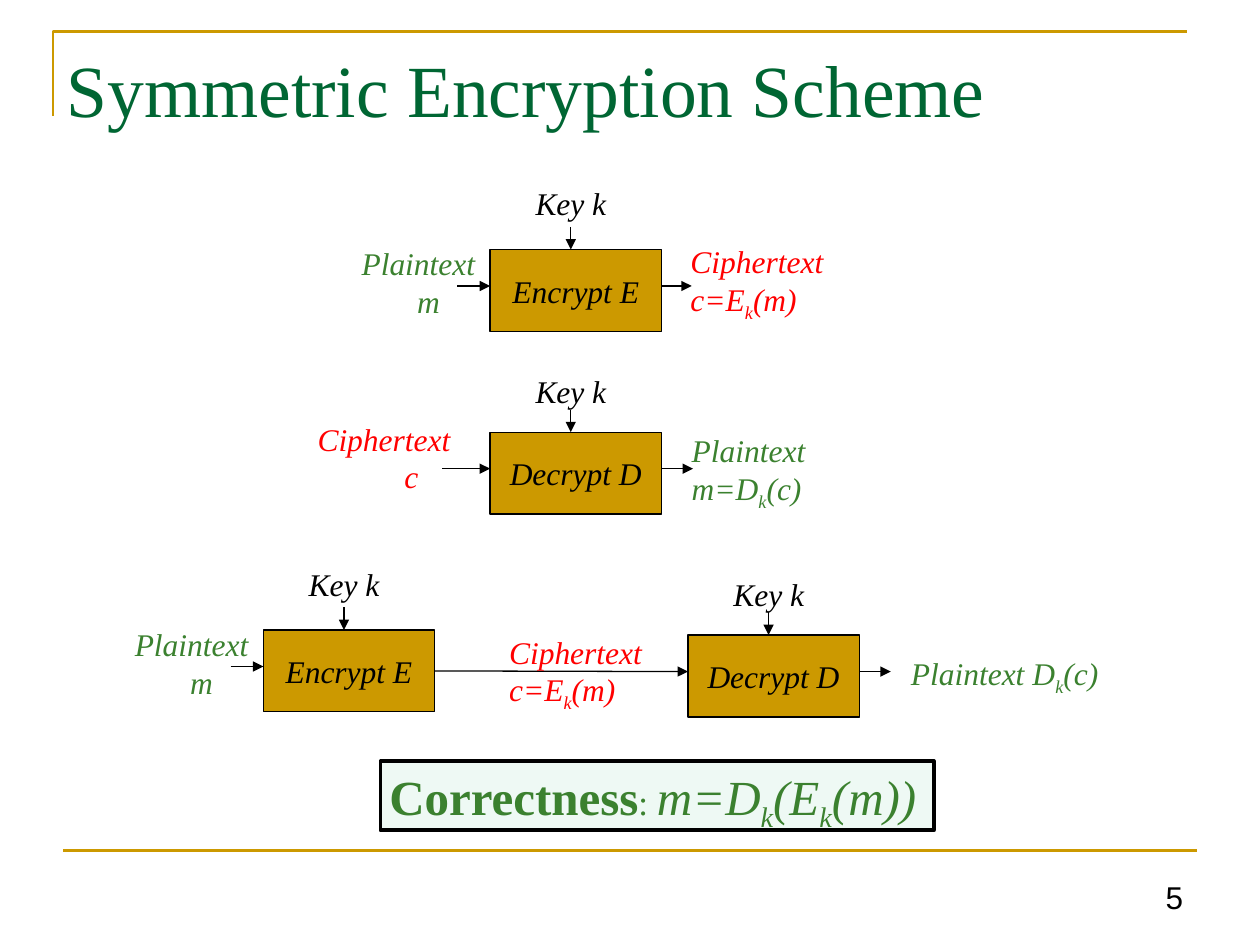
from lxml import etree
from pptx import Presentation
from pptx.dml.color import RGBColor
from pptx.enum.shapes import MSO_CONNECTOR, MSO_SHAPE
from pptx.enum.text import MSO_ANCHOR, MSO_AUTO_SIZE, PP_ALIGN
from pptx.oxml.ns import qn
from pptx.util import Inches, Pt

STRAIGHT, RECTANGLE = MSO_CONNECTOR.STRAIGHT, MSO_SHAPE.RECTANGLE
TOP, MIDDLE, BOTTOM = MSO_ANCHOR.TOP, MSO_ANCHOR.MIDDLE, MSO_ANCHOR.BOTTOM
LEFT, CENTER, RIGHT = PP_ALIGN.LEFT, PP_ALIGN.CENTER, PP_ALIGN.RIGHT
FIT_SHAPE, NO_FIT = MSO_AUTO_SIZE.SHAPE_TO_FIT_TEXT, MSO_AUTO_SIZE.NONE

WIDTH, HEIGHT = 10, 7.5
BLACK, GOLD, RED, GREEN = "000000", "CC9900", "FF0000", "3B812F"
PALE, TITLE_GREEN = "EEF9F4", "006633"
SERIF, SANS = "Times New Roman", "Arial"

TITLE = "Symmetric Encryption Scheme"
PAGE_NUMBER = "5"
KEY = "Key k"

# An underscore pair encloses a subscript.
# Stage: name, left, top, length of the arrow in, length of the arrow out
STAGES = [
    ("Encrypt E", 3.89, 1.98, 0.26, 0.24),
    ("Decrypt D", 3.89, 3.43, 0.38, 0.25),
    ("Encrypt E", 2.09, 5.00, 0.26, 0),
    ("Decrypt D", 5.46, 5.04, 0, 0.25),
]
# Label: lines, colour, indent of the second line, left, top, width
LABELS = [
    (["Plaintext", "m"], GREEN, 0.44, 2.80, 1.90, 1.06),
    (["Ciphertext", "c=E_k_(m)"], RED, 0, 5.41, 1.88, 1.21),
    (["Ciphertext", "c"], RED, 0.69, 2.45, 3.29, 1.21),
    (["Plaintext", "m=D_k_(c)"], GREEN, 0, 5.42, 3.38, 1.06),
    (["Plaintext", "m"], GREEN, 0.44, 1.00, 4.92, 1.06),
    (["Ciphertext", "c=E_k_(m)"], RED, 0, 3.97, 4.98, 1.21),
    (["Plaintext D_k_(c)"], GREEN, 0, 7.16, 5.15, 1.66),
]
CORRECTNESS = [
    ("Correctness", {"size": Pt(28), "bold": True}),
    (": ", {"size": Pt(20)}),
    ("m=D_k_(E_k_(m))", {"size": Pt(28), "italic": True}),
]

BOX_WIDTH, BOX_HEIGHT = 1.36, 0.65
KEY_WIDTH, KEY_ARROW = 0.72, 0.18
LINE_HEIGHT, PADDING = 0.3, 0.04
ITALIC = {"size": Pt(18), "italic": True}


def rgb(color):
    return RGBColor.from_string(color)


def add_runs(paragraph, text, color, font_format, font_name=SERIF):
    for index, part in enumerate(text.split("_")):
        if not part:
            continue
        run = paragraph.add_run()
        run.text = part
        run.font.name = font_name
        run.font.color.rgb = rgb(color)
        for name, value in font_format.items():
            setattr(run.font, name, value)
        if index % 2:
            run.font._element.set("baseline", "-25000")


def format_frame(frame, anchor=TOP, wrap=False, fit=NO_FIT, inset=(0.07, PADDING)):
    horizontal, vertical = map(Inches, inset)
    values = {
        "auto_size": fit, "word_wrap": wrap, "vertical_anchor": anchor,
        "margin_left": horizontal, "margin_right": horizontal,
        "margin_top": vertical, "margin_bottom": vertical,
    }
    for name, value in values.items():
        setattr(frame, name, value)


def add_label(slide, lines, color, indent, left, top, width):
    height = LINE_HEIGHT * len(lines) + 2 * PADDING
    label = slide.shapes.add_textbox(*map(Inches, (left, top, width, height)))
    frame = label.text_frame
    format_frame(frame, fit=FIT_SHAPE)
    for index, line in enumerate(lines):
        paragraph = frame.add_paragraph() if index else frame.paragraphs[0]
        paragraph.alignment = LEFT
        if index and indent:
            paragraph._p.get_or_add_pPr().set("marL", str(Inches(indent)))
        add_runs(paragraph, line, color, ITALIC)


def add_rectangle(slide, left, top, width, height, fill, line_width):
    shape = slide.shapes.add_shape(RECTANGLE, *map(Inches, (left, top, width, height)))
    shape.shadow.inherit = False
    shape.fill.solid()
    shape.fill.fore_color.rgb = rgb(fill)
    shape.line.color.rgb = rgb(BLACK)
    shape.line.width = Pt(line_width)
    return shape


def add_line(slide, start, end, color=BLACK, width=0.75, arrow=True):
    line = slide.shapes.add_connector(STRAIGHT, *map(Inches, (*start, *end)))
    line.line.color.rgb = rgb(color)
    line.line.width = Pt(width)
    if arrow:
        etree.SubElement(line.line._get_or_add_ln(), qn("a:tailEnd"), type="triangle")
    etree.SubElement(line._element.spPr, qn("a:effectLst"))
    return line


def add_stage(slide, name, left, top, arrow_in, arrow_out):
    """Draw a box with its key above and its arrows in and out."""
    box = add_rectangle(slide, left, top, BOX_WIDTH, BOX_HEIGHT, GOLD, 0.75)
    format_frame(box.text_frame, MIDDLE)
    paragraph = box.text_frame.paragraphs[0]
    paragraph.alignment = CENTER
    add_runs(paragraph, name, BLACK, ITALIC)
    key_gap = 0.56 if name.startswith("Encrypt") else 0.52
    add_label(slide, [KEY], BLACK, 0, left + 0.29, top - key_gap, KEY_WIDTH)
    key_x, flow_y, right = left + 0.64, top + 0.29, left + BOX_WIDTH
    add_line(slide, (key_x, top - KEY_ARROW), (key_x, top))
    if arrow_in:
        add_line(slide, (left - arrow_in, flow_y), (left, flow_y))
    if arrow_out:
        add_line(slide, (right, flow_y), (right + arrow_out, flow_y))
    return box


def add_frame_lines(slide):
    builder = slide.shapes.build_freeform(Inches(0.42), Inches(0.92))
    corner = [(0.42, 0.25), (9.42, 0.25)]
    builder.add_line_segments([(Inches(x), Inches(y)) for x, y in corner], close=False)
    outline = builder.convert_to_shape()
    outline.shadow.inherit = False
    outline.fill.background()
    outline.line.color.rgb = rgb(GOLD)
    outline.line.width = Pt(1.5)
    add_line(slide, (0.5, 6.75), (9.5, 6.75), GOLD, 1.5, arrow=False)


def add_title(slide):
    title = slide.shapes.title
    place = {"left": 0.43, "top": 0.3, "width": 9.07, "height": 1.5}
    for name, value in place.items():
        setattr(title, name, Inches(value))
    format_frame(title.text_frame, wrap=True, inset=(0.1, 0.05))
    paragraph = title.text_frame.paragraphs[0]
    paragraph.alignment = LEFT
    add_runs(paragraph, TITLE, TITLE_GREEN, {"size": Pt(42)})


def add_correctness(slide):
    box = add_rectangle(slide, 3.02, 6.04, 4.39, 0.55, PALE, 2.25)
    format_frame(box.text_frame, fit=FIT_SHAPE)
    paragraph = box.text_frame.paragraphs[0]
    paragraph.alignment = LEFT
    for text, font_format in CORRECTNESS:
        add_runs(paragraph, text, GREEN, font_format)


def add_page_number(slide):
    number = slide.shapes.add_textbox(*map(Inches, (8.93, 6.83, 0.56, 0.49)))
    format_frame(number.text_frame, BOTTOM, wrap=True, inset=(0.1, 0.05))
    paragraph = number.text_frame.paragraphs[0]
    paragraph.alignment = RIGHT
    add_runs(paragraph, PAGE_NUMBER, BLACK, {"size": Pt(18)}, SANS)


def main():
    presentation = Presentation()
    presentation.slide_width, presentation.slide_height = Inches(WIDTH), Inches(HEIGHT)
    slide = presentation.slides.add_slide(presentation.slide_layouts[5])
    add_frame_lines(slide)
    add_title(slide)
    boxes = [add_stage(slide, *stage) for stage in STAGES]
    channel = add_line(slide, (3.45, 5.33), (5.46, 5.33))
    channel.begin_connect(boxes[2], 3)
    for label in LABELS:
        add_label(slide, *label)
    add_correctness(slide)
    add_page_number(slide)
    presentation.save("out.pptx")


if __name__ == "__main__":
    main()
